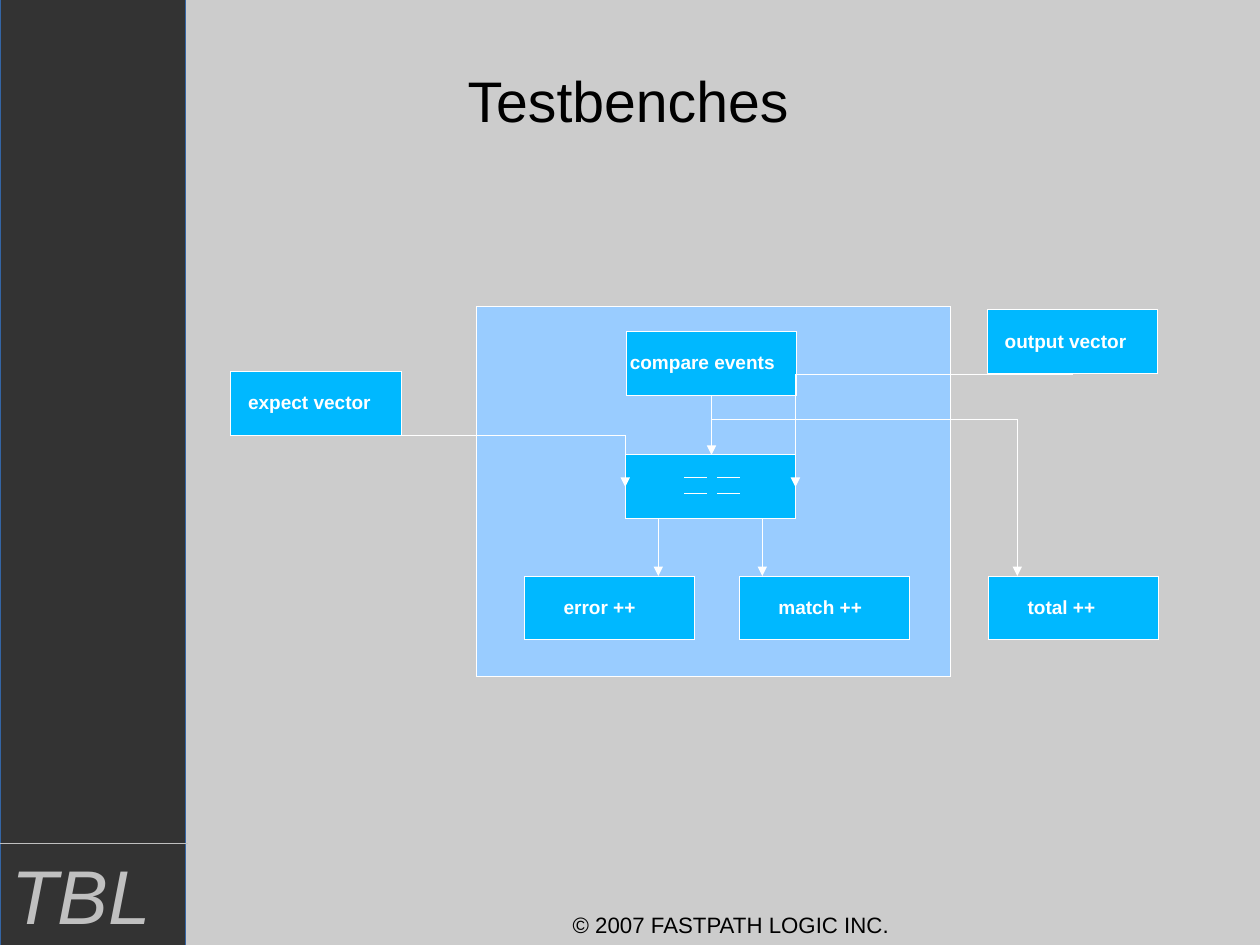
from lxml import etree
from pptx import Presentation
from pptx.dml.color import RGBColor
from pptx.enum import shapes, text
from pptx.oxml.ns import qn
from pptx.util import Cm, Inches, Pt

# Content
TITLE = "Testbenches"
BADGE = "TBL"
COPYRIGHT = "© 2007 FASTPATH LOGIC INC."

# Grid of the diagram, in inches
BOX_WIDTH, BOX_HEIGHT = 1.49, 0.56
COLUMNS = {"expect": 2.02, "error": 4.59, "equal": 5.47, "compare": 5.48,
           "match": 6.47, "output": 8.64, "total": 8.65}
ROWS = {"output": 2.71, "compare": 2.9, "expect": 3.25, "equal": 3.98, "counter": 5.04}

# Label, column, row, indent of the label
BOXES = [
    ("expect vector", "expect", "expect", 0.15),
    ("compare events", "compare", "compare", 0.03),
    ("error ++", "error", "counter", 0.34),
    ("match ++", "match", "counter", 0.34),
    ("total ++", "total", "counter", 0.34),
    ("output vector", "output", "output", 0.15),
    ("", "equal", "equal", 0),
]

BACKGROUND = RGBColor(0xCC, 0xCC, 0xCC)
SIDEBAR = RGBColor(0x33, 0x33, 0x33)
SIDEBAR_EDGE = RGBColor(0x34, 0x65, 0xA4)
SILVER = RGBColor(0xC0, 0xC0, 0xC0)
PANEL = RGBColor(0x99, 0xCC, 0xFF)
BOX = RGBColor(0x00, 0xB8, 0xFF)
WHITE = RGBColor(0xFF, 0xFF, 0xFF)
BLACK = RGBColor(0, 0, 0)

presentation = Presentation()
presentation.slide_width, presentation.slide_height = Cm(28), Cm(21)
slide = presentation.slides.add_slide(presentation.slide_layouts[5])
slide.background.fill.solid()
slide.background.fill.fore_color.rgb = BACKGROUND


def write(shape, words, size, color, align, bold=False, italic=False):
    paragraph = shape.text_frame.paragraphs[0]
    paragraph.text = words
    paragraph.alignment = align
    font = paragraph.font
    font.name, font.size, font.color.rgb = "Arial", Pt(size), color
    font.bold, font.italic = bold, italic


def draw_hairline(shape, color):
    shape.line.color.rgb = color
    outline = shape._element.spPr.find(qn("a:ln"))
    outline.set("w", "0")
    return outline


def add_rectangle(left, top, width, height, fill, edge=WHITE):
    shape = slide.shapes.add_shape(
        shapes.MSO_SHAPE.RECTANGLE, *map(Inches, (left, top, width, height)))
    shape.shadow.inherit = False
    shape.fill.solid()
    shape.fill.fore_color.rgb = fill
    draw_hairline(shape, edge)
    return shape


def add_text(left, top, width, height, *style, **options):
    shape = slide.shapes.add_textbox(*map(Inches, (left, top, width, height)))
    shape.text_frame.word_wrap = True
    write(shape, *style, **options)


def add_line(start, end, color=WHITE, arrow=False):
    bent = start[0] != end[0] and start[1] != end[1]
    kind = shapes.MSO_CONNECTOR.ELBOW if bent else shapes.MSO_CONNECTOR.STRAIGHT
    connector = slide.shapes.add_connector(kind, *map(Inches, (*start, *end)))
    outline = draw_hairline(connector, color)
    properties = connector._element.spPr
    if bent:  # one corner: across, then down
        properties.find(qn("a:prstGeom")).set("prst", "bentConnector2")
    if arrow:
        etree.SubElement(outline, qn("a:tailEnd"), type="triangle")
    etree.SubElement(properties, qn("a:effectLst"))


# Sidebar
add_rectangle(0, 0, 1.62, 8.27, SIDEBAR, SIDEBAR_EDGE)
add_text(0, 7.37, 2.06, 1.08, BADGE, 48, SILVER, text.PP_ALIGN.LEFT, italic=True)
add_line((0, 7.38), (1.64, 7.38), SILVER)

# Title
title = slide.shapes.title
title.left, title.top, title.width, title.height = map(Inches, (0.79, 0.28, 9.41, 1.18))
frame = title.text_frame
frame.margin_left = frame.margin_right = frame.margin_top = frame.margin_bottom = 0
frame.vertical_anchor = text.MSO_ANCHOR.MIDDLE
write(title, TITLE, 36, BLACK, text.PP_ALIGN.CENTER)

# Panel and boxes
add_rectangle(4.17, 2.68, 4.15, 3.24, PANEL)
for label, column, row, indent in BOXES:
    box = add_rectangle(COLUMNS[column], ROWS[row], BOX_WIDTH, BOX_HEIGHT, BOX)
    if label:
        frame = box.text_frame
        frame.margin_left, frame.margin_right = Inches(indent), 0
        frame.margin_bottom = Inches(0.07)
        frame.vertical_anchor = text.MSO_ANCHOR.MIDDLE
        write(box, label, 12, WHITE, text.PP_ALIGN.LEFT, bold=True)

# Equality sign: two pairs of dashes
for x in (5.99, 6.28):
    for y in (4.18, 4.32):
        add_line((x, y), (x + 0.19, y))

# Arrows
center = COLUMNS["compare"] + BOX_WIDTH / 2
equal_right = COLUMNS["equal"] + BOX_WIDTH
equal_middle = ROWS["equal"] + BOX_HEIGHT / 2
equal_bottom = ROWS["equal"] + BOX_HEIGHT
expect_exit = (COLUMNS["expect"] + BOX_WIDTH / 2, ROWS["expect"] + BOX_HEIGHT)
output_exit = (COLUMNS["output"] + BOX_WIDTH / 2, ROWS["output"] + BOX_HEIGHT)
ARROWS = [
    (expect_exit, (COLUMNS["equal"], equal_middle)),
    ((5.76, equal_bottom), (5.76, ROWS["counter"])),
    ((6.67, equal_bottom), (6.67, ROWS["counter"])),
    ((center, ROWS["compare"] + BOX_HEIGHT), (center, ROWS["equal"])),
    ((center, 3.67), (8.9, ROWS["counter"])),
    (output_exit, (equal_right, equal_middle)),
]
for start, end in ARROWS:
    add_line(start, end, arrow=True)

# Copyright line
add_text(3.81, 7.92, 5.17, 0.34, COPYRIGHT, 14, BLACK, text.PP_ALIGN.CENTER)

presentation.save("out.pptx")
